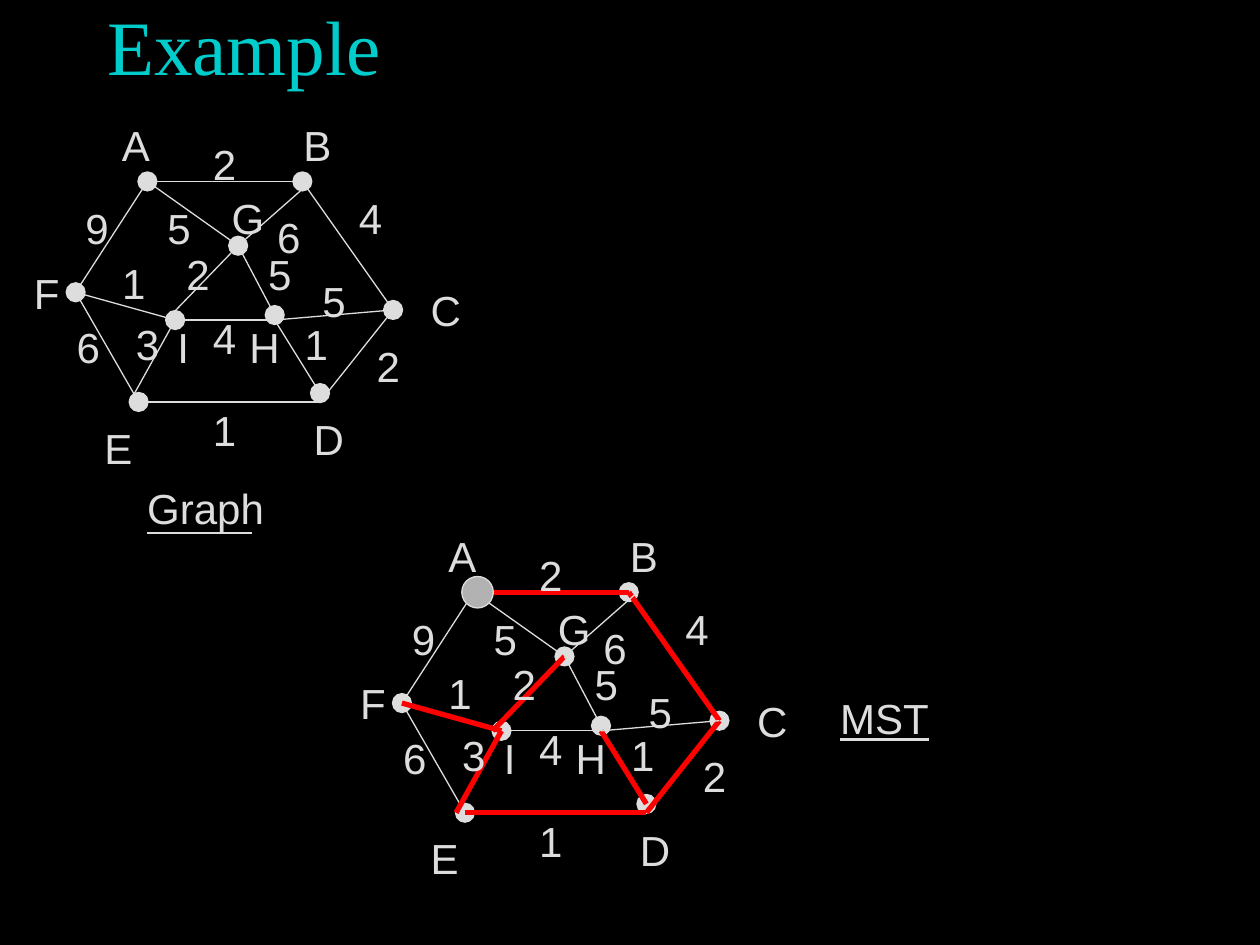
import pptx
import pptx.dml.color
import pptx.enum.shapes
import pptx.enum.text
import pptx.oxml.ns
import pptx.util
from lxml import etree
from pptx.util import Inches

BLACK = pptx.dml.color.RGBColor(0x00, 0x00, 0x00)
CYAN = pptx.dml.color.RGBColor(0x00, 0xCC, 0xCC)
LIGHT = pptx.dml.color.RGBColor(0xDD, 0xDD, 0xDD)
GREY = pptx.dml.color.RGBColor(0xB2, 0xB2, 0xB2)
RED = pptx.dml.color.RGBColor(0xFF, 0x00, 0x00)

NODE_SIZE = 0.15
ROOT_SIZE = 0.25
LABEL_HEIGHT = 0.5
WEIGHT_WIDTH = 0.39

NODES = {
    "A": (1.00, 0.54), "B": (2.23, 0.54), "C": (2.95, 1.56),
    "D": (2.37, 2.22), "E": (0.93, 2.29), "F": (0.43, 1.42),
    "G": (1.72, 1.05), "H": (2.01, 1.60), "I": (1.22, 1.64),
}
JOINTS = NODES | {
    "B right": (2.30, 0.54), "D low": (2.37, 2.29), "E left": (0.86, 2.29),
    "H low": (2.01, 1.64), "I left": (1.15, 1.64),
}
NODE_LABELS = {
    "A": (0.70, 0, 0.43), "B": (2.14, 0, 0.43), "C": (3.15, 1.31, 0.45),
    "D": (2.22, 2.33, 0.45), "E": (0.56, 2.40, 0.43), "F": (0, 1.17, 0.41),
    "G": (1.57, 0.58, 0.46), "H": (1.71, 1.60, 0.45), "I": (1.14, 1.60, 0.29),
}
EDGES = [
    ("A", "B", 2, 1.42, 0.15, True),
    ("B", "C", 4, 2.58, 0.58, True),
    ("A", "F", 9, 0.41, 0.66, False),
    ("F", "E", 6, 0.34, 1.60, False),
    ("E", "D low", 1, 1.42, 2.26, True),
    ("D low", "C", 2, 2.72, 1.75, True),
    ("A", "G", 5, 1.06, 0.66, False),
    ("G", "B right", 6, 1.93, 0.73, False),
    ("G", "I left", 2, 1.21, 1.02, True),
    ("I", "H low", 4, 1.42, 1.53, False),
    ("H", "G", 5, 1.86, 1.02, False),
    ("F", "I", 1, 0.70, 1.09, True),
    ("I", "E left", 3, 0.81, 1.58, True),
    ("H low", "D", 1, 2.15, 1.58, True),
    ("H low", "C", 5, 2.29, 1.24, False),
]


def add_label(slide, text, left, top, width, underline=None):
    label = slide.shapes.add_textbox(
        Inches(left), Inches(top), Inches(width), Inches(LABEL_HEIGHT))
    frame = label.text_frame
    frame.word_wrap = False
    frame.vertical_anchor = pptx.enum.text.MSO_ANCHOR.MIDDLE
    paragraph = frame.paragraphs[0]
    paragraph.text = text
    paragraph.font.name = "Arial"
    paragraph.font.size = pptx.util.Pt(24)
    paragraph.font.color.rgb = LIGHT
    paragraph.font.underline = underline


def add_node(slide, center_x, center_y, size, color):
    node = slide.shapes.add_shape(
        pptx.enum.shapes.MSO_SHAPE.OVAL,
        Inches(center_x - size / 2), Inches(center_y - size / 2),
        Inches(size), Inches(size))
    node.shadow.inherit = False
    node.fill.solid()
    node.fill.fore_color.rgb = color
    node.line.color.rgb = LIGHT
    node.line.width = pptx.util.Pt(0.75)


def add_line(slide, start, end, color=LIGHT, width=0.75):
    line = slide.shapes.add_connector(
        pptx.enum.shapes.MSO_CONNECTOR.STRAIGHT,
        *(Inches(length) for length in (*start, *end)))
    line.line.color.rgb = color
    line.line.width = pptx.util.Pt(width)
    etree.SubElement(line._element.spPr, pptx.oxml.ns.qn("a:effectLst"))


def add_title(slide, left, top, width, height):
    title = slide.shapes.title
    title.left, title.top = Inches(left), Inches(top)
    title.width, title.height = Inches(width), Inches(height)
    title.text_frame.vertical_anchor = pptx.enum.text.MSO_ANCHOR.MIDDLE
    heading = title.text_frame.paragraphs[0]
    heading.text = "Example"
    heading.alignment = pptx.enum.text.PP_ALIGN.LEFT
    heading.font.name = "Times New Roman"
    heading.font.size = pptx.util.Pt(44)
    heading.font.color.rgb = CYAN


def add_graph(slide, left, top, root=None):
    def place(point):
        return left + point[0], top + point[1]

    for name, center in NODES.items():
        if name != root:
            add_node(slide, *place(center), NODE_SIZE, LIGHT)
    for start, end, weight, x, y, in_tree in EDGES:
        style = (RED, 3) if root and in_tree else (LIGHT, 0.75)
        add_line(slide, place(JOINTS[start]), place(JOINTS[end]), *style)
    if root:
        root_x, root_y = place(NODES[root])
        add_node(slide, root_x + 0.03, root_y, ROOT_SIZE, GREY)
    for name, (x, y, width) in NODE_LABELS.items():
        add_label(slide, name, *place((x, y)), width)
    for start, end, weight, x, y, in_tree in EDGES:
        add_label(slide, str(weight), *place((x, y)), WEIGHT_WIDTH)


def main():
    deck = pptx.Presentation()
    deck.slide_width, deck.slide_height = Inches(10), Inches(7.5)
    slide = deck.slides.add_slide(deck.slide_layouts[5])
    slide.background.fill.solid()
    slide.background.fill.fore_color.rgb = BLACK
    add_title(slide, 0.75, -0.27, 8.5, 1.25)
    add_graph(slide, 0.17, 0.9)
    add_label(slide, "Graph", 1.07, 3.78, 1.14)
    add_line(slide, (1.17, 4.23), (2, 4.23))
    add_graph(slide, 2.76, 4.16, root="A")
    add_label(slide, "MST", 6.57, 5.45, 0.91, underline=True)
    deck.save("out.pptx")


if __name__ == "__main__":
    main()
